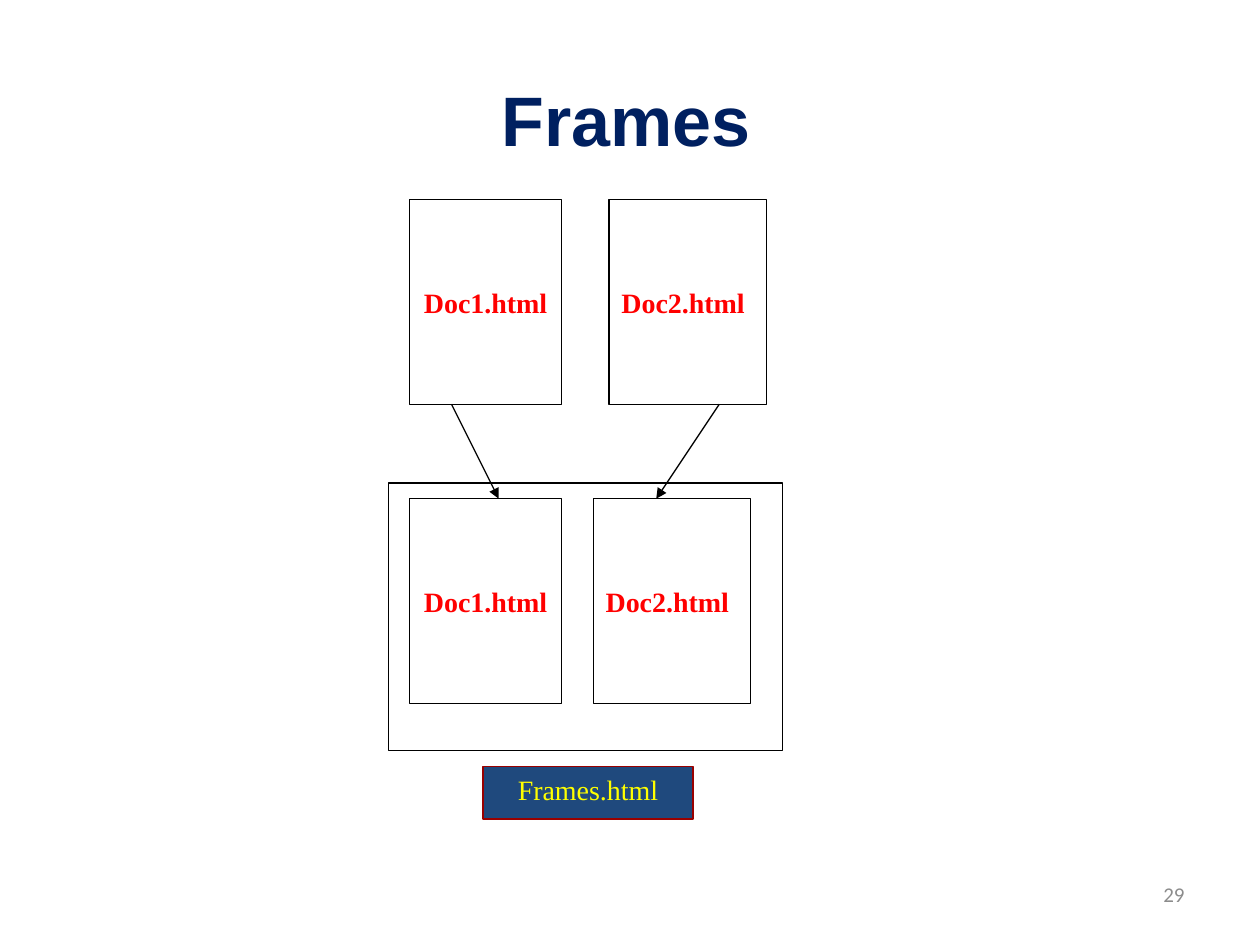
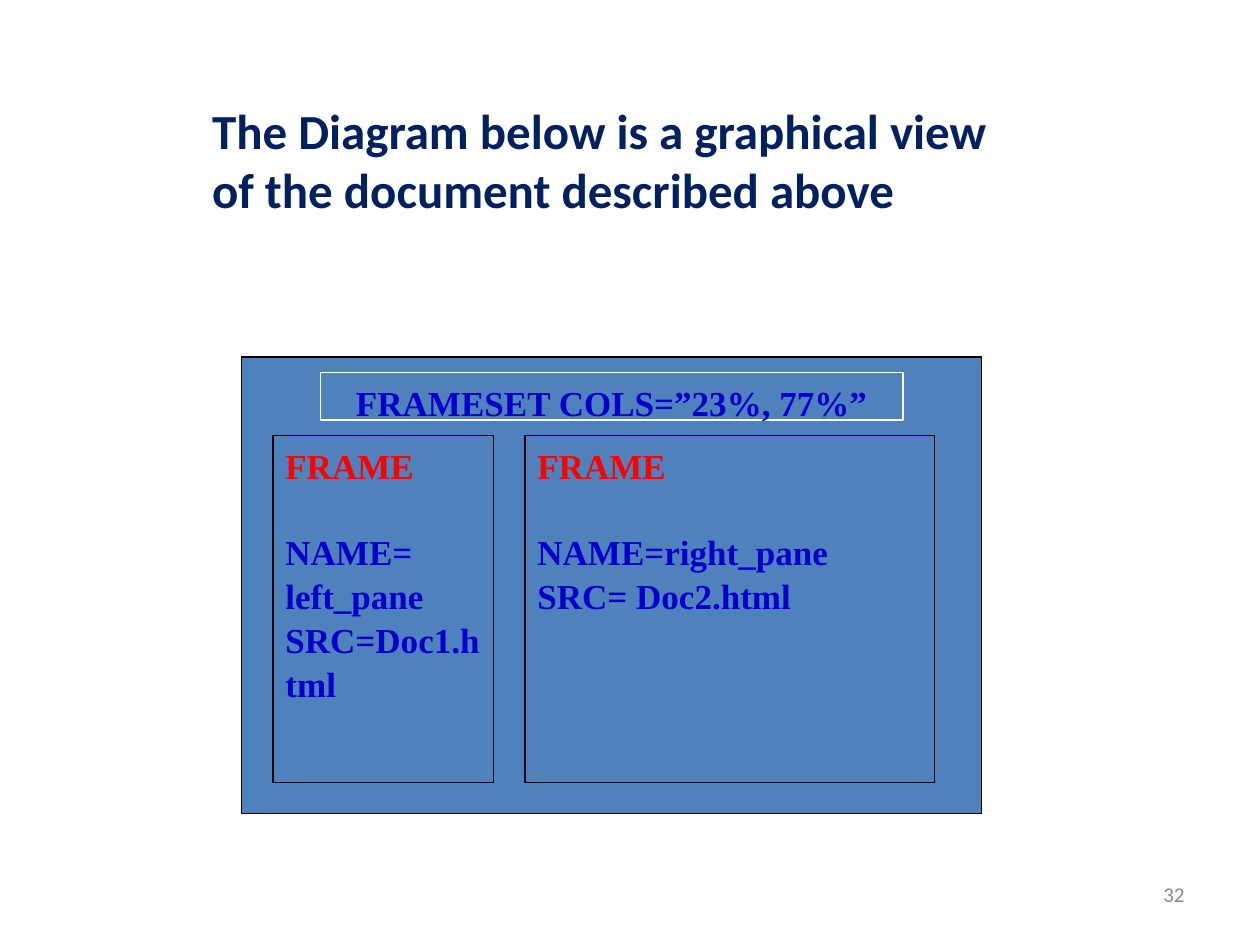
from lxml.etree import SubElement
from pptx import Presentation
from pptx.dml.color import RGBColor
from pptx.enum.shapes import MSO_CONNECTOR, MSO_SHAPE
from pptx.enum.text import MSO_ANCHOR, MSO_AUTO_SIZE, PP_ALIGN
from pptx.oxml.ns import qn
from pptx.util import Inches, Pt

COLUMNS, ROWS = 240, 180
NAVY, BLACK, WHITE, RED = "002060", "000000", "FFFFFF", "FF0000"
PANE_BLUE, CODE_BLUE = "4F81BD", "0000CC"
LEFT, CENTER, RIGHT = PP_ALIGN.LEFT, PP_ALIGN.CENTER, PP_ALIGN.RIGHT
TOP, MIDDLE = MSO_ANCHOR.TOP, MSO_ANCHOR.MIDDLE

BIG_TITLE = {"name": "Arial", "size": Pt(40), "bold": True, "color": NAVY}
LONG_TITLE = {"name": "Calibri", "size": Pt(28), "bold": True, "color": NAVY}
PAGE_NUMBER = {"name": "Calibri", "size": Pt(12), "color": "8C8C8C"}
CAPTION = {"name": "Times New Roman", "size": Pt(16), "color": "FFFF00"}
DOC_NAME = CAPTION | {"bold": True, "color": RED}
FRAME_CODE = DOC_NAME | {"size": Pt(20), "color": CODE_BLUE}
FRAME_HEAD = FRAME_CODE | {"color": RED}
CODE_LINES = {"line_spacing": 1.05}


def rgb(value):
    return RGBColor.from_string(value)


def set_all(target, values):
    for attribute, value in values.items():
        setattr(target, attribute, value)


class Deck:
    """Holds the presentation, the current slide and the grid."""

    def __init__(self):
        self.show = Presentation()
        set_all(self.show, {"slide_width": Inches(10), "slide_height": Inches(7.5)})
        self.column = self.show.slide_width / COLUMNS
        self.row = self.show.slide_height / ROWS

    def place(self, *cells):
        """Turn column, row pairs into lengths."""
        units = (self.column, self.row) * 2
        return [round(cell * unit) for cell, unit in zip(cells, units)]

    def set_text(self, shape, lines, align=LEFT, anchor=TOP, **spacing):
        """Fill a shape with (text, font) lines."""
        frame = shape.text_frame
        set_all(frame, {"word_wrap": True, "vertical_anchor": anchor,
                        "auto_size": MSO_AUTO_SIZE.NONE})
        for index, (text, font) in enumerate(lines):
            paragraph = frame.add_paragraph() if index else frame.paragraphs[0]
            set_all(paragraph, {"alignment": align} | spacing)
            run = paragraph.add_run()
            run.text = text
            set_all(run.font, {key: font[key] for key in font if key != "color"})
            run.font.color.rgb = rgb(font["color"])
        return frame

    def slide(self, title, font, cells, number, **layout):
        self.current = self.show.slides.add_slide(
            self.show.slide_layouts.get_by_name("Title Only"))
        heading = self.current.shapes.title
        set_all(heading, dict(zip(("left", "top", "width", "height"),
                                  self.place(*cells))))
        self.set_text(heading, [(title, font)], **layout)
        footer = self.current.shapes.add_textbox(*self.place(172, 164, 56, 12.5))
        self.set_text(footer, [(number, PAGE_NUMBER)], RIGHT, MIDDLE)

    def box(self, cells, lines=(), fill=WHITE, line=BLACK, **layout):
        box = self.current.shapes.add_shape(MSO_SHAPE.RECTANGLE, *self.place(*cells))
        box.shadow.inherit = False
        box.fill.solid()
        box.fill.fore_color.rgb = rgb(fill)
        box.line.color.rgb = rgb(line)
        box.line.width = Pt(0.75)
        return self.set_text(box, lines, **layout)

    def arrow(self, *ends):
        arrow = self.current.shapes.add_connector(MSO_CONNECTOR.STRAIGHT,
                                                  *self.place(*ends))
        arrow.line.color.rgb = rgb(BLACK)
        arrow.line.width = Pt(0.75)
        properties = arrow._element.spPr
        SubElement(properties.find(qn("a:ln")), qn("a:tailEnd"), type="triangle")
        SubElement(properties, qn("a:effectLst"))


def frames_slide(deck):
    deck.slide("Frames", BIG_TITLE, (11.25, 7.5, 216, 30), "29",
               align=CENTER, anchor=MIDDLE)
    deck.box((74, 92, 75, 51))
    source_row, frame_row, doc_rows = 38, 95, 39
    for row, doc2_column in ((frame_row, 113), (source_row, 116)):
        for name, column, width, align in (("Doc2.html", doc2_column, 30, LEFT),
                                           ("Doc1.html", 78, 29, CENTER)):
            deck.box((column, row, width, doc_rows), [(name, DOC_NAME)],
                     align=align, anchor=MIDDLE)
    deck.box((92, 146, 40, 10), [("Frames.html", CAPTION)],
             fill="1F497D", line="990000", align=CENTER)
    for start, end in ((86, 95), (137, 125)):
        deck.arrow(start, source_row + doc_rows, end, frame_row)


def frameset_slide(deck):
    deck.slide("The Diagram below is a graphical view of the document described above",
               LONG_TITLE, (38, 18, 160, 36), "32", align=LEFT, anchor=TOP)
    deck.box((46, 68, 141, 87), fill=PANE_BLUE)
    deck.box((61, 71, 111, 9), [("FRAMESET COLS=”23%, 77%”", FRAME_CODE)],
             fill=PANE_BLUE, line=WHITE, align=CENTER, **CODE_LINES)
    for column, width, name, source in (
            (100, 78, "NAME=right_pane", "SRC= Doc2.html"),
            (52, 42, "NAME= left_pane", "SRC=Doc1.html")):
        pane = deck.box((column, 83, width, 66),
                        [("FRAME", FRAME_HEAD), (name, FRAME_CODE), (source, FRAME_CODE)],
                        fill=PANE_BLUE, **CODE_LINES)
        pane.paragraphs[0].space_after = Pt(24)


def main():
    deck = Deck()
    frames_slide(deck)
    frameset_slide(deck)
    deck.show.save("out.pptx")


if __name__ == "__main__":
    main()
